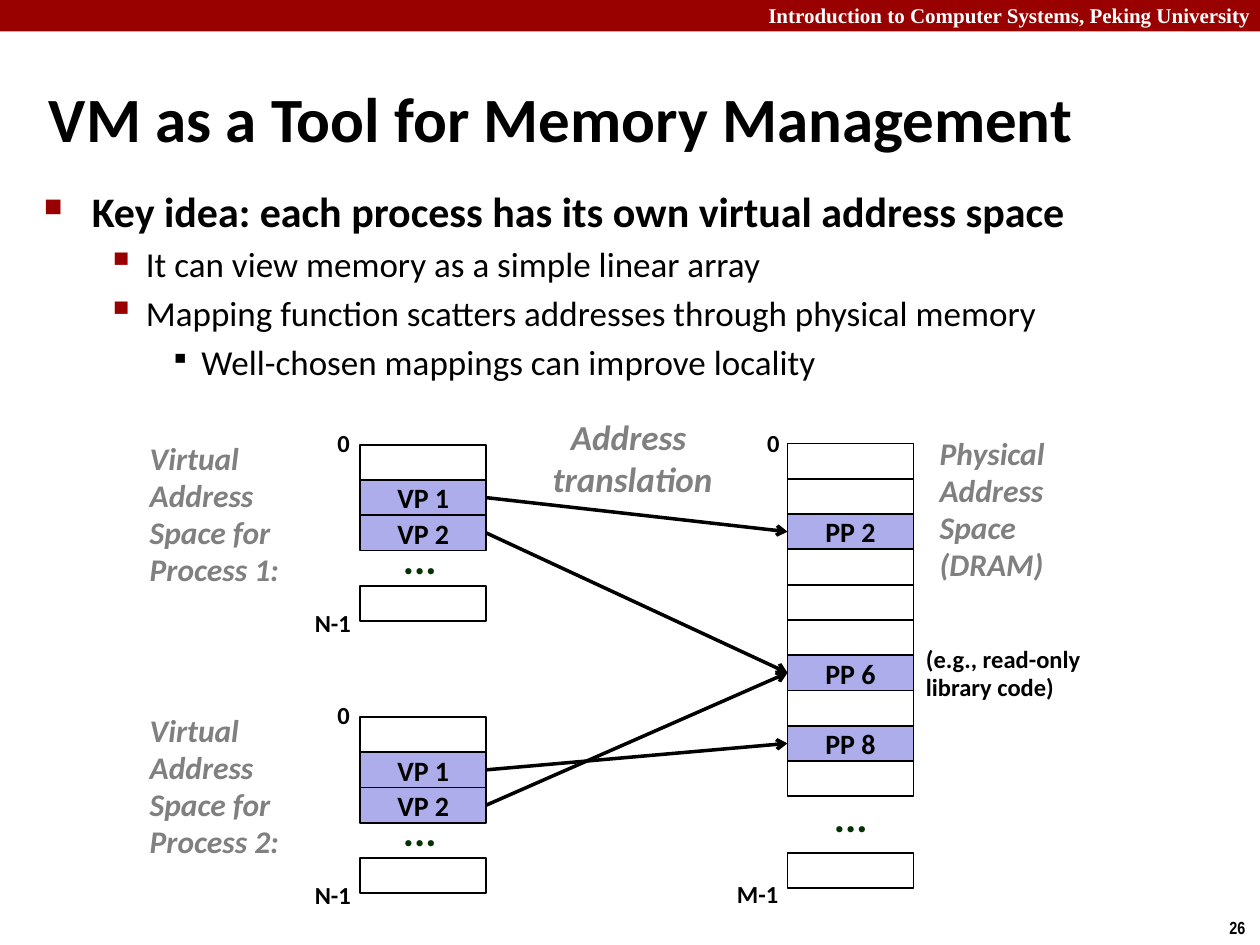
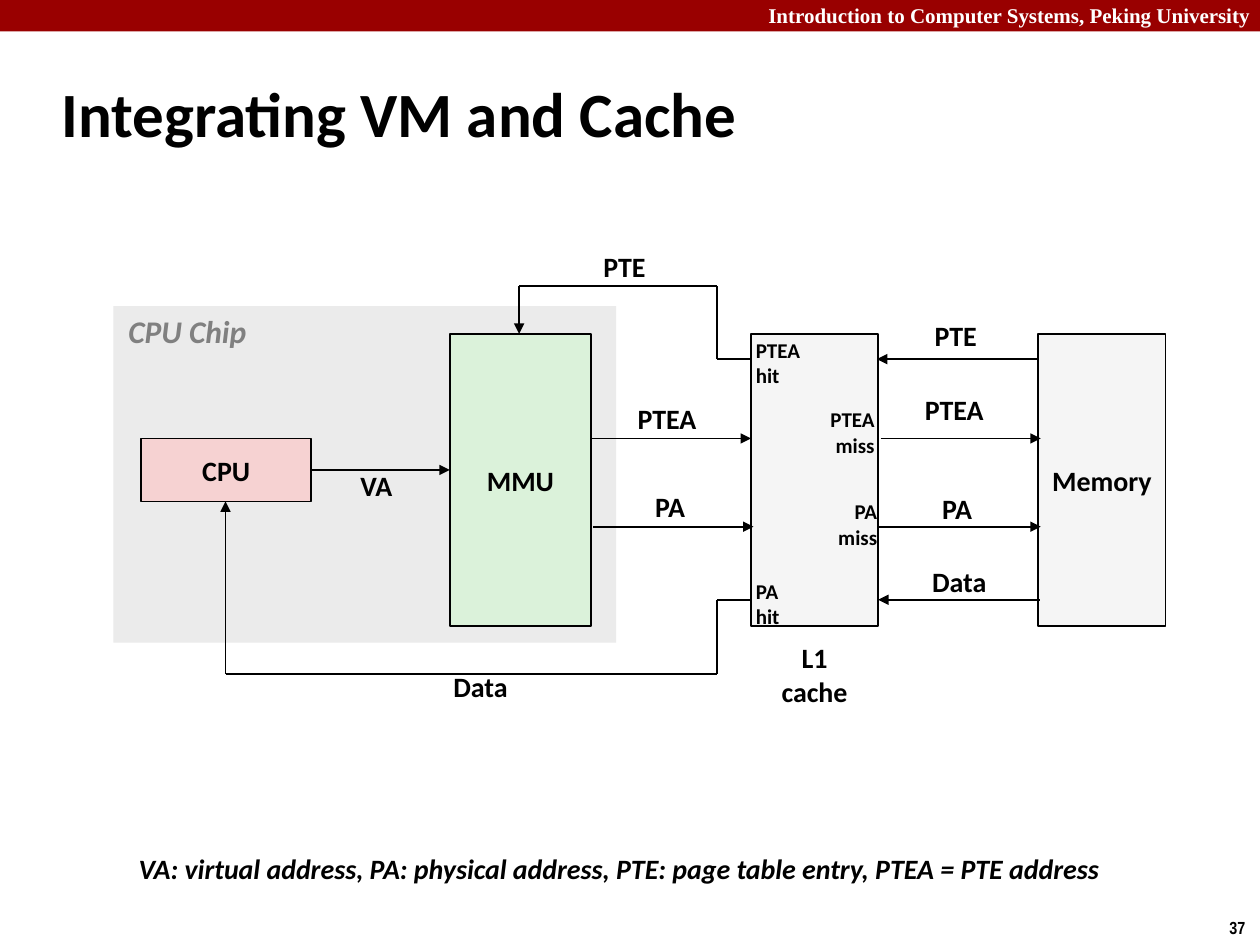
"""Build two lecture slides on virtual memory."""
from itertools import pairwise

from lxml import etree
from pptx import Presentation
from pptx.dml.color import RGBColor
from pptx.enum.shapes import MSO_CONNECTOR, MSO_SHAPE
from pptx.enum.text import MSO_ANCHOR, PP_ALIGN
from pptx.oxml.ns import qn
from pptx.util import Inches, Pt

RECTANGLE = MSO_SHAPE.RECTANGLE
STRAIGHT = MSO_CONNECTOR.STRAIGHT
TOP, MIDDLE = MSO_ANCHOR.TOP, MSO_ANCHOR.MIDDLE
LEFT, CENTER, RIGHT = PP_ALIGN.LEFT, PP_ALIGN.CENTER, PP_ALIGN.RIGHT

COLORS = {
    "band": "990000", "white": "FFFFFF", "black": "000000", "gray": "808080",
    "dots": "003300", "mapped": "ADADEB", "chip": "EBEBEB", "cpu": "F6D2D2",
    "mmu": "DBF2DA", "store": "F5F5F5",
}
BULLETS = [
    {"char": "■", "size": 60, "color": "band", "margin": 0.38, "hang": 0.38, "points": 24},
    {"char": "▪", "size": 110, "color": "band", "margin": 0.81, "hang": 0.31, "points": 20},
    {"char": "▪", "size": 80, "color": "black", "margin": 1.25, "hang": 0.25, "points": 20},
]
NOTE = {"size": 18, "color": "gray", "italic": True}
PITCH = 0.28
VIRTUAL_LEFT, PHYSICAL_LEFT, PHYSICAL_TOP = 2.86, 6.25, 3.52


def rgb(name):
    """Return the named colour."""
    return RGBColor.from_string(COLORS[name])


class Deck:
    """Hold the presentation, its style and the current slide."""

    def __init__(self):
        """Start an empty 10 by 7.5 inch deck."""
        self.deck = Presentation()
        self.deck.slide_width, self.deck.slide_height = Inches(10), Inches(7.5)
        self.page = None

    def start(self, number, title, area):
        """Add a slide with band, course name, page number and title."""
        self.page = self.deck.slides.add_slide(self.deck.slide_layouts[6])
        self.block(0, 0, 10, 0.25, "band", outline=False)
        self.label(6, -0.03, 4.07, 0.3, "Introduction to Computer Systems, Peking University",
                   size=12, color="white", font="Times New Roman", wrap=True)
        self.label(9.66, 7.23, 0.34, 0.27, str(number), size=10, font="Arial Narrow")
        self.label(*area, title, size=36, anchor=MIDDLE, wrap=True)

    def style(self, para, size, color="black", font="Calibri", bold=True, italic=False):
        """Set the font of a paragraph."""
        para.font.name, para.font.size = font, Pt(size)
        para.font.bold, para.font.italic = bold, italic
        para.font.color.rgb = rgb(color)

    def label(self, left, top, width, height, text, size=16, color="black", font="Calibri",
              italic=False, align=LEFT, anchor=TOP, spacing=None, inset=(0.1, 0.05), wrap=False):
        """Add a text box with one paragraph per line of text."""
        box = self.page.shapes.add_textbox(Inches(left), Inches(top), Inches(width), Inches(height))
        frame = box.text_frame
        frame.word_wrap, frame.vertical_anchor = wrap, anchor
        frame.margin_left = frame.margin_right = Inches(inset[0])
        frame.margin_top = frame.margin_bottom = Inches(inset[1])
        frame.text = text
        for para in frame.paragraphs:
            para.alignment = align
            if spacing:
                para.line_spacing = spacing
            self.style(para, size, color, font, italic=italic)

    def block(self, left, top, width, height, fill=None, text="", outline=True):
        """Add a rectangle with centred text."""
        shape = self.page.shapes.add_shape(
            RECTANGLE, Inches(left), Inches(top), Inches(width), Inches(height))
        shape.shadow.inherit = False
        if fill:
            shape.fill.solid()
            shape.fill.fore_color.rgb = rgb(fill)
        else:
            shape.fill.background()
        if outline:
            shape.line.color.rgb, shape.line.width = rgb("black"), Pt(1)
        else:
            shape.line.fill.background()
        if text:
            frame = shape.text_frame
            frame.word_wrap, frame.vertical_anchor = False, MIDDLE
            frame.text = text
            frame.paragraphs[0].alignment = CENTER
            self.style(frame.paragraphs[0], 16)

    def route(self, *points, width=1, head="triangle"):
        """Join points with straight lines and put an arrowhead on the last."""
        for start, end in pairwise(points):
            line = self.page.shapes.add_connector(STRAIGHT, *map(Inches, start + end))
            line.line.color.rgb, line.line.width = rgb("black"), Pt(width)
            properties = line._element.spPr
            if end == points[-1]:
                etree.SubElement(properties.find(qn("a:ln")), qn("a:tailEnd"), type=head)
            etree.SubElement(properties, qn("a:effectLst"))

    def bullets(self, left, top, width, height, items):
        """Add a bulleted list from pairs of level and text."""
        box = self.page.shapes.add_textbox(Inches(left), Inches(top), Inches(width), Inches(height))
        frame = box.text_frame
        frame.word_wrap = True
        frame.text = "\n".join(text for _, text in items)
        for index, (para, (level, _)) in enumerate(zip(frame.paragraphs, items)):
            look = BULLETS[level]
            para.level = level
            if index:
                para.space_before = Pt(4)
            properties = para._p.get_or_add_pPr()
            properties.set("marL", str(Inches(look["margin"])))
            properties.set("indent", str(-Inches(look["hang"])))
            color = etree.SubElement(properties, qn("a:buClr"))
            etree.SubElement(color, qn("a:srgbClr"), val=COLORS[look["color"]])
            etree.SubElement(properties, qn("a:buSzPct"), val=str(look["size"] * 1000))
            etree.SubElement(properties, qn("a:buChar"), char=look["char"])
            self.style(para, look["points"], bold=level == 0)

    def dots(self, left, top):
        """Add an ellipsis between memory pages."""
        self.label(left, top, 0.47, 0.45, "...", size=24, color="dots", spacing=0.88)

    def index(self, left, top, width, text):
        """Add a small address beside a memory page."""
        self.label(left, top, width, 0.33, text, size=14, spacing=0.98)

    def memory(self, left, top, slots, names):
        """Stack memory pages in the given slots, filling the named ones."""
        for slot in slots:
            name = names.get(slot, "")
            self.block(left, top + slot * PITCH, 1, PITCH, "mapped" if name else None, name)


def memory_management(deck):
    """Draw the mapping of two virtual address spaces to physical memory."""
    deck.start(26, "VM as a Tool for Memory Management", (0.29, 0.62, 9.42, 0.63))
    deck.bullets(0.25, 1.42, 8.59, 1.38, [
        (0, "Key idea: each process has its own virtual address space"),
        (1, "It can view memory as a simple linear array"),
        (1, "Mapping function scatters addresses through physical memory"),
        (2, "Well-chosen mappings can improve locality"),
    ])
    deck.memory(PHYSICAL_LEFT, PHYSICAL_TOP, range(10), {2: "PP 2", 6: "PP 6", 8: "PP 8"})
    deck.block(PHYSICAL_LEFT, 6.77, 1, PITCH)
    deck.dots(6.52, 6.28)
    deck.index(5.99, 3.36, 0.31, "0")
    deck.index(5.75, 6.94, 0.53, "M-1")
    deck.label(7.36, 3.41, 1.17, 1.29, "Physical\nAddress\nSpace (DRAM)",
               spacing=0.98, wrap=True, **NOTE)
    deck.label(7.25, 5.07, 1.59, 0.56, "(e.g., read-only\nlibrary code)",
               size=14, spacing=0.98, wrap=True)
    mappings = [(3.53, {1: 2, 2: 6}), (5.69, {1: 8, 2: 6})]
    for process, (top, targets) in enumerate(mappings, 1):
        deck.label(1.09, top - 0.08, 1.5, 1.28, f"Virtual Address Space for Process {process}:",
                   spacing=0.98, wrap=True, **NOTE)
        deck.memory(VIRTUAL_LEFT, top, (0, 1, 2, 4), {1: "VP 1", 2: "VP 2"})
        deck.dots(3.1, top + 0.7)
        deck.index(2.58, top - 0.17, 0.31, "0")
        deck.index(2.4, top + 1.26, 0.49, "N-1")
        for source, target in targets.items():
            deck.route((VIRTUAL_LEFT + 1, top + (source + 0.5) * PITCH),
                       (PHYSICAL_LEFT, PHYSICAL_TOP + (target + 0.5) * PITCH),
                       width=2, head="arrow")
    deck.label(4.28, 3.25, 1.48, 0.77, "Address \ntranslation",
               size=20, color="gray", italic=True, align=CENTER)


def vm_and_cache(deck):
    """Draw the path from the CPU through MMU and cache to memory."""
    deck.start(37, "Integrating VM and Cache", (0.39, 0.48, 8.3, 0.83))
    deck.block(0.9, 2.43, 3.99, 2.67, "chip", outline=False)
    deck.label(0.92, 2.43, 1.21, 0.4, "CPU Chip", **NOTE)
    deck.block(1.12, 3.48, 1.35, 0.5, "cpu", "CPU")
    for left, width, fill, text in [(3.57, 1.12, "mmu", "MMU"), (5.96, 1.01, "store", ""),
                                    (8.24, 1.01, "store", "Memory")]:
        deck.block(left, 2.65, width, 2.32, fill, text)

    arrows = [(2.47, 3.57, 3.73), (4.69, 5.96, 3.48), (4.71, 5.98, 4.18), (6.99, 8.26, 3.48),
              (6.97, 8.26, 4.18), (8.24, 6.96, 2.85), (8.25, 6.97, 4.76)]
    for start, end, height in arrows:
        deck.route((start, height), (end, height))
    deck.route((5.96, 2.85), (5.69, 2.85), (5.69, 2.27), (4.12, 2.27), (4.12, 2.65))
    deck.route((5.96, 4.76), (5.69, 4.76), (5.69, 5.35), (1.79, 5.35), (1.79, 3.98))

    tight = {"spacing": 0.85, "inset": (0.07, 0.03)}
    for left, top, width, text in [(2.79, 3.73, 0.42, "VA"), (4.99, 3.2, 0.62, "PTEA"),
                                   (5.13, 3.9, 0.38, "PA"), (7.27, 3.13, 0.62, "PTEA")]:
        deck.label(left, top, width, 0.29, text, **tight)
    for left, top, width, text in [(4.69, 1.93, 0.54, "PTE"), (3.5, 5.26, 0.64, "Data"),
                                   (7.38, 3.85, 0.44, "PA"), (7.3, 4.43, 0.64, "Data"),
                                   (7.32, 2.48, 0.54, "PTE")]:
        deck.label(left, top, width, 0.37, text, anchor=MIDDLE)
    for left, top, width, text, align in [
            (5.9, 2.63, 0.55, "PTEA\nhit", LEFT), (6.49, 3.18, 0.55, "PTEA\nmiss", RIGHT),
            (6.54, 3.91, 0.52, "PA\nmiss", RIGHT), (5.9, 4.54, 0.39, "PA\nhit", LEFT)]:
        deck.label(left, top, width, 0.5, text, size=12, align=align, anchor=MIDDLE)
    deck.label(6.1, 5.03, 0.73, 0.64, "L1\ncache", align=CENTER, anchor=MIDDLE)
    deck.label(1.03, 6.77, 7.92, 0.29, "VA: virtual address, PA: physical address, "
               "PTE: page table entry, PTEA = PTE address", italic=True, **tight)


def main():
    """Build and save the deck."""
    deck = Deck()
    memory_management(deck)
    vm_and_cache(deck)
    deck.deck.save("out.pptx")


if __name__ == "__main__":
    main()
